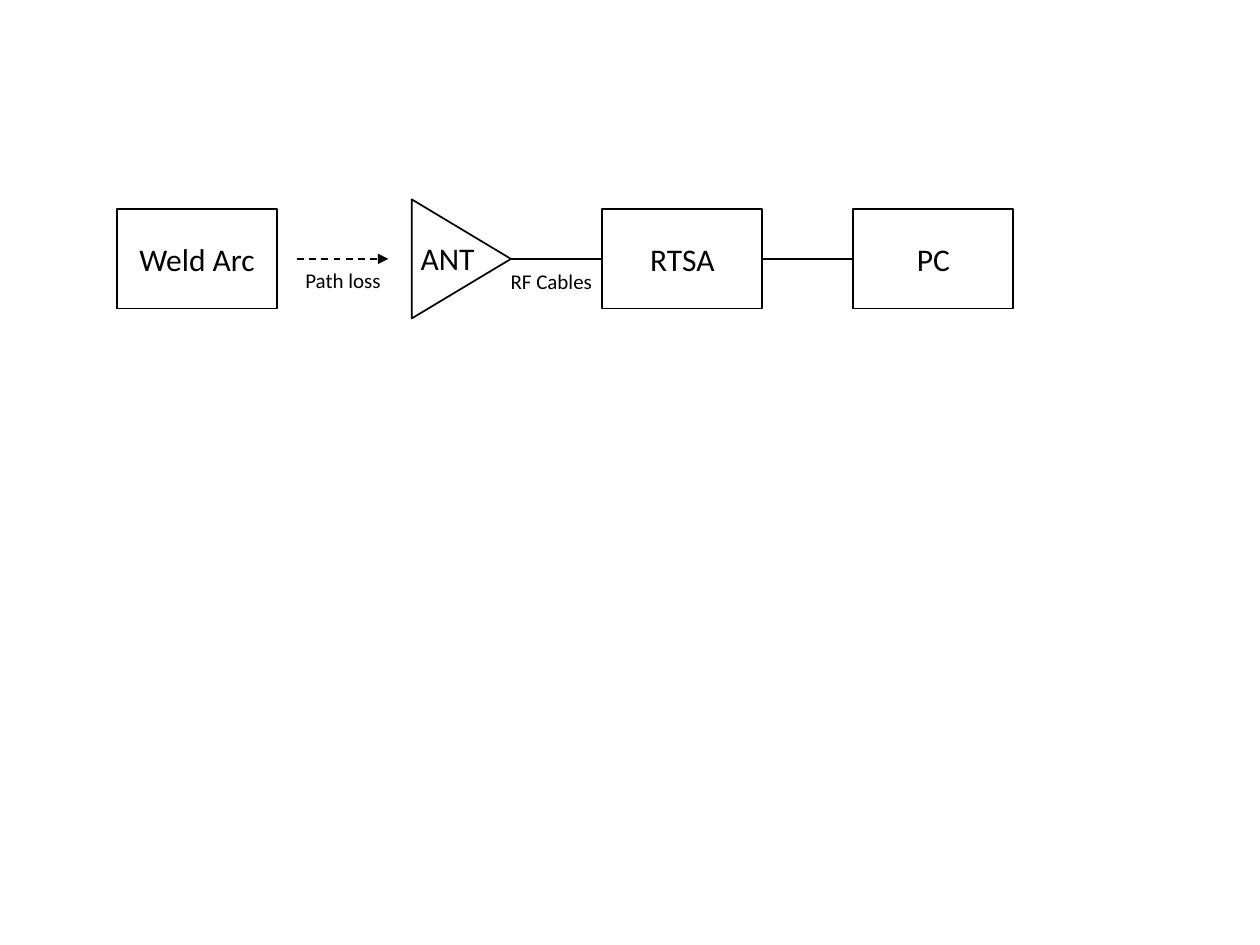
import pptx
import pptx.dml.color
import pptx.enum.dml
import pptx.enum.shapes
import pptx.enum.text
import pptx.oxml
import pptx.oxml.ns
import pptx.util
import lxml.etree

Cm = pptx.util.Cm
Pt = pptx.util.Pt
Align = pptx.enum.text.PP_ALIGN
Shape = pptx.enum.shapes.MSO_SHAPE
Connector = pptx.enum.shapes.MSO_CONNECTOR

BLACK = pptx.dml.color.RGBColor(0, 0, 0)
WHITE = pptx.dml.color.RGBColor(255, 255, 255)

AXIS = 5.22
BLOCK_WIDTH, BLOCK_HEIGHT = 3.23, 2.0
ANTENNA_TIP = 10.3


class Diagram:
    font = "Calibri"
    line_width = Pt(1)

    def __init__(self, slide):
        self.slide = slide

    def add_text(self, frame, text, size, align):
        paragraph = frame.paragraphs[0]
        paragraph.alignment = align
        run = paragraph.add_run()
        run.text = text
        run.font.name = self.font
        run.font.size = Pt(size)
        run.font.color.rgb = BLACK

    def outline(self, line):
        line.color.rgb = BLACK
        line.width = self.line_width

    def shape(self, kind, left, width, height):
        shape = self.slide.shapes.add_shape(
            kind, Cm(left), Cm(AXIS - height / 2), Cm(width), Cm(height))
        shape.shadow.inherit = False
        shape.fill.solid()
        shape.fill.fore_color.rgb = WHITE
        self.outline(shape.line)
        return shape

    def block(self, text, left):
        block = self.shape(Shape.RECTANGLE, left, BLOCK_WIDTH, BLOCK_HEIGHT)
        block.text_frame.vertical_anchor = pptx.enum.text.MSO_ANCHOR.MIDDLE
        self.add_text(block.text_frame, text, 18, Align.CENTER)
        return block

    def antenna(self, left, width, height):
        self.shape(Shape.ISOSCELES_TRIANGLE, left, width, height).rotation = 90

    def label(self, text, left, top, width, height, size, align=Align.CENTER, wrap=True):
        box = self.slide.shapes.add_textbox(Cm(left), Cm(top), Cm(width), Cm(height))
        box.text_frame.word_wrap = wrap
        box.text_frame.auto_size = pptx.enum.text.MSO_AUTO_SIZE.SHAPE_TO_FIT_TEXT
        self.add_text(box.text_frame, text, size, align)

    def link(self, kind, start, end, source=None, target=None, dashed_arrow=False):
        link = self.slide.shapes.add_connector(kind, Cm(start), Cm(AXIS), Cm(end), Cm(AXIS))
        if source is not None:
            link.begin_connect(source, 3)
        if target is not None:
            link.end_connect(target, 1)
        self.outline(link.line)
        properties = link._element.spPr
        if dashed_arrow:
            link.line.dash_style = pptx.enum.dml.MSO_LINE.DASH
            stroke = properties.find(pptx.oxml.ns.qn("a:ln"))
            head = lxml.etree.SubElement(stroke, pptx.oxml.ns.qn("a:tailEnd"))
            head.set("type", "triangle")
        lxml.etree.SubElement(properties, pptx.oxml.ns.qn("a:effectLst"))


def main():
    deck = pptx.Presentation()
    deck.slide_width, deck.slide_height = Cm(25.4), Cm(19.05)
    diagram = Diagram(deck.slides.add_slide(deck.slide_layouts[6]))

    diagram.block("Weld Arc", 2.36)
    analyzer = diagram.block("RTSA", 12.14)
    diagram.antenna(8.1, 2.4, 2)
    diagram.link(Connector.ELBOW, ANTENNA_TIP, 12.14, target=analyzer)
    diagram.label("ANT", 8.23, 4.7, 1.6, 1.03, 18, Align.LEFT, wrap=False)
    diagram.label("RF Cables", 9.96, 5.28, 2.31, 0.77, 12)
    computer = diagram.block("PC", 17.2)
    diagram.link(Connector.STRAIGHT, 15.37, 17.2, analyzer, computer)
    diagram.link(Connector.ELBOW, 5.99, 7.83, dashed_arrow=True)
    diagram.label("Path loss", 5.76, 5.27, 2.31, 0.77, 12)

    deck.save("out.pptx")


if __name__ == "__main__":
    main()
